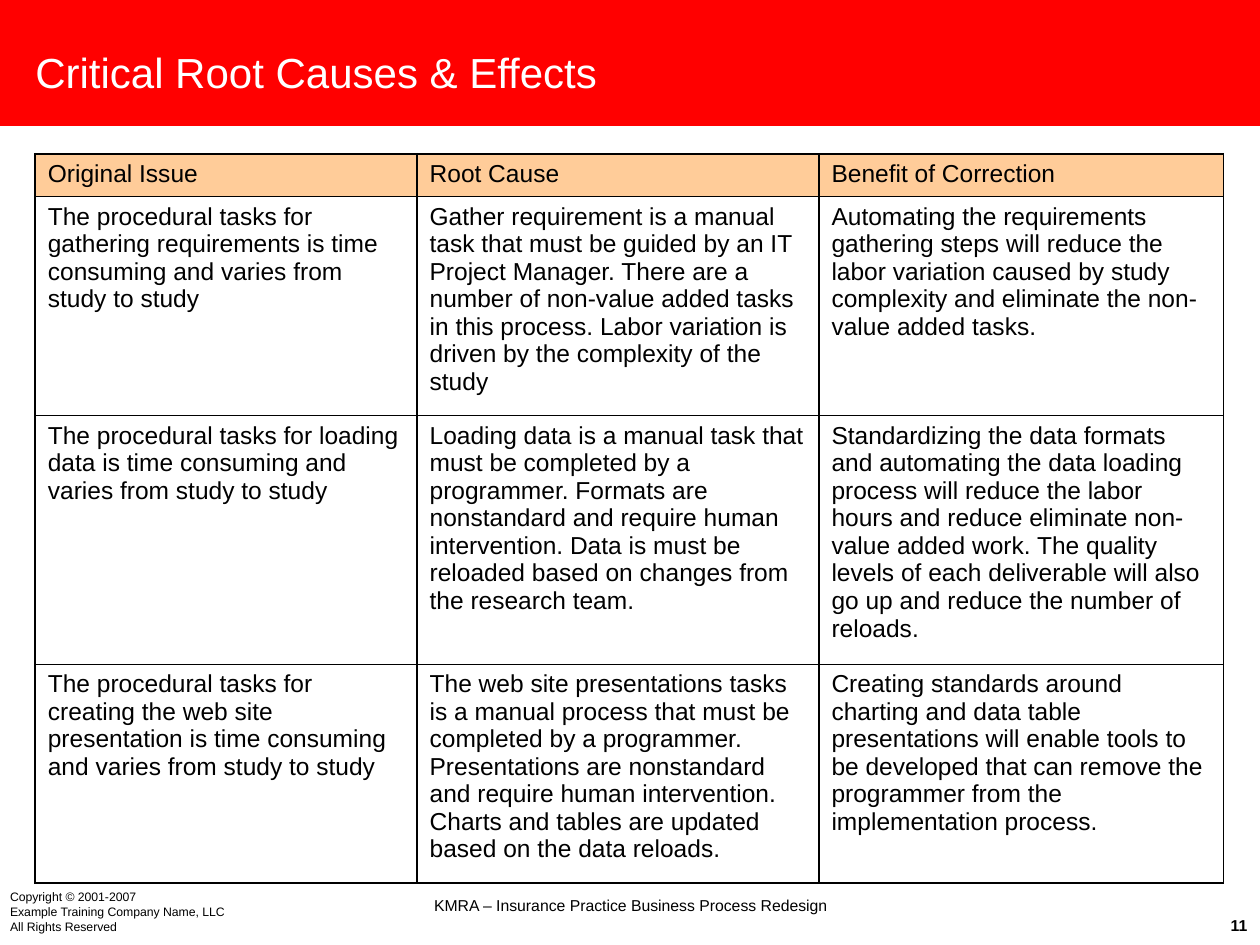
"""Build the slide of critical root causes and their effects."""
import lxml.etree
import pptx
import pptx.dml.color
import pptx.enum.shapes
import pptx.enum.text
import pptx.oxml.ns
import pptx.util

Inches = pptx.util.Inches
RGBColor = pptx.dml.color.RGBColor
ALIGN = pptx.enum.text.PP_ALIGN
ANCHOR = pptx.enum.text.MSO_ANCHOR

RED = RGBColor(0xFF, 0x00, 0x00)
PEACH = RGBColor(0xFF, 0xCC, 0x99)
BLACK = RGBColor(0x00, 0x00, 0x00)
WHITE = RGBColor(0xFF, 0xFF, 0xFF)

THICK, THIN = 1.08, 0.45
COLUMN_WIDTHS = [3.03, 3.19, 3.21]
ROW_HEIGHTS = [0.34, 1.74, 1.97, 1.74]
CAUSES = [
    ["Original Issue", "Root Cause", "Benefit of Correction"],
    [
        "The procedural tasks for gathering requirements is time consuming "
        "and varies from study to study",
        "Gather requirement is a manual task that must be guided by an IT "
        "Project Manager. There are a number of non-value added tasks in this "
        "process. Labor variation is driven by the complexity of the study",
        "Automating the requirements gathering steps will reduce the labor "
        "variation caused by study complexity and eliminate the non-value "
        "added tasks.",
    ],
    [
        "The procedural tasks for loading data is time consuming and varies "
        "from study to study",
        "Loading data is a manual task that must be completed by a programmer. "
        "Formats are nonstandard and require human intervention. Data is must "
        "be reloaded based on changes from the research team.",
        "Standardizing the data formats and automating the data loading "
        "process will reduce the labor hours and reduce eliminate non-value "
        "added work. The quality levels of each deliverable will also go up "
        "and reduce the number of reloads.",
    ],
    [
        "The procedural tasks for creating the web site presentation is time "
        "consuming and varies from study to study",
        "The web site presentations tasks is a manual process that must be "
        "completed by a programmer. Presentations are nonstandard and require "
        "human intervention. Charts and tables are updated based on the data "
        "reloads.",
        "Creating standards around charting and data table presentations will "
        "enable tools to be developed that can remove the programmer from the "
        "implementation process.",
    ],
]
COPYRIGHT = [
    "Copyright © 2001-2007",
    "Example Training Company Name, LLC",
    "All Rights Reserved",
]


class SlideBuilder:
    """Holds the text style and the current slide."""

    font_name = "Arial"

    def __init__(self, deck):
        self.slide = deck.slides.add_slide(deck.slide_layouts[5])

    def set_text(self, frame, lines, size, color=BLACK, bold=False,
                 align=ALIGN.LEFT):
        """Write one paragraph per line in the given style."""
        font_format = {"name": self.font_name, "size": pptx.util.Pt(size),
                       "bold": bold}
        for index, line in enumerate(lines):
            para = frame.add_paragraph() if index else frame.paragraphs[0]
            para.alignment = align
            span = para.add_run()
            span.text = line
            span.font.color.rgb = color
            for name, value in font_format.items():
                setattr(span.font, name, value)

    def set_frame(self, frame, anchor):
        """Remove the insets and wrap the text."""
        frame_format = {"margin_left": 0, "margin_top": 0, "margin_right": 0,
                        "margin_bottom": 0, "word_wrap": True,
                        "auto_size": pptx.enum.text.MSO_AUTO_SIZE.NONE,
                        "vertical_anchor": anchor}
        for name, value in frame_format.items():
            setattr(frame, name, value)

    def add_banner(self, width, height, color):
        """Draw the colour band across the top."""
        banner = self.slide.shapes.add_shape(
            pptx.enum.shapes.MSO_SHAPE.RECTANGLE, 0, 0,
            Inches(width), Inches(height))
        banner.shadow.inherit = False
        banner.fill.solid()
        banner.fill.fore_color.rgb = color
        banner.line.fill.background()

    def add_title(self, text, left, top, width, height):
        """Place the title in front of the banner."""
        title = self.slide.shapes.title
        place = {"left": left, "top": top, "width": width, "height": height}
        for name, value in place.items():
            setattr(title, name, Inches(value))
        self.set_frame(title.text_frame, ANCHOR.BOTTOM)
        self.set_text(title.text_frame, [text], 24, WHITE)
        self.slide.shapes.element.append(title.element)

    def add_text(self, lines, left, top, width, height, size,
                 anchor=ANCHOR.BOTTOM, **style):
        """Add a text box without insets."""
        box = self.slide.shapes.add_textbox(
            Inches(left), Inches(top), Inches(width), Inches(height))
        self.set_frame(box.text_frame, anchor)
        self.set_text(box.text_frame, lines, size, **style)

    def set_borders(self, cell, widths):
        """Draw the cell sides with the given widths in points."""
        properties = cell._tc.get_or_add_tcPr()
        qn = pptx.oxml.ns.qn
        for side, width in widths.items():
            line = lxml.etree.SubElement(
                properties, qn(f"a:ln{side}"), w=str(pptx.util.Pt(width)))
            fill = lxml.etree.SubElement(line, qn("a:solidFill"))
            lxml.etree.SubElement(fill, qn("a:srgbClr"), val=str(BLACK))

    def add_table(self, rows, left, top, widths, heights):
        """Add a ruled table with a coloured heading row."""
        table = self.slide.shapes.add_table(
            len(rows), len(widths), Inches(left), Inches(top),
            Inches(sum(widths)), Inches(sum(heights))).table
        for column, width in zip(table.columns, widths):
            column.width = Inches(width)
        last = len(rows) - 1
        for index, (row, height) in enumerate(zip(table.rows, heights)):
            row.height = Inches(height)
            borders = {"L": THICK, "R": THICK,
                       "T": THICK if index == 0 else THIN,
                       "B": THICK if index == last else THIN}
            for cell, text in zip(row.cells, rows[index]):
                self.set_borders(cell, borders)
                cell.fill.solid()
                cell.fill.fore_color.rgb = WHITE if index else PEACH
                self.set_text(cell.text_frame, [text], 14)


def main():
    """Build and save the deck."""
    deck = pptx.Presentation()
    deck.slide_width, deck.slide_height = Inches(10), Inches(7.5)
    page = SlideBuilder(deck)
    page.add_banner(10, 1, RED)
    page.add_text(["KMRA – Insurance Practice Business Process Redesign"],
                  3.37, 6.99, 3.27, 0.27, 9, align=ALIGN.CENTER)
    page.add_text(["11"], 9.4, 7.15, 0.5, 0.27, 9, bold=True,
                  align=ALIGN.RIGHT)
    page.add_text(COPYRIGHT, 0.08, 7.06, 2.33, 0.35, 7, anchor=ANCHOR.TOP)
    page.add_table(CAUSES, 0.28, 1.22, COLUMN_WIDTHS, ROW_HEIGHTS)
    page.add_title("Critical Root Causes & Effects", 0.28, 0.37, 8.3, 0.4)
    deck.save("out.pptx")


if __name__ == "__main__":
    main()
